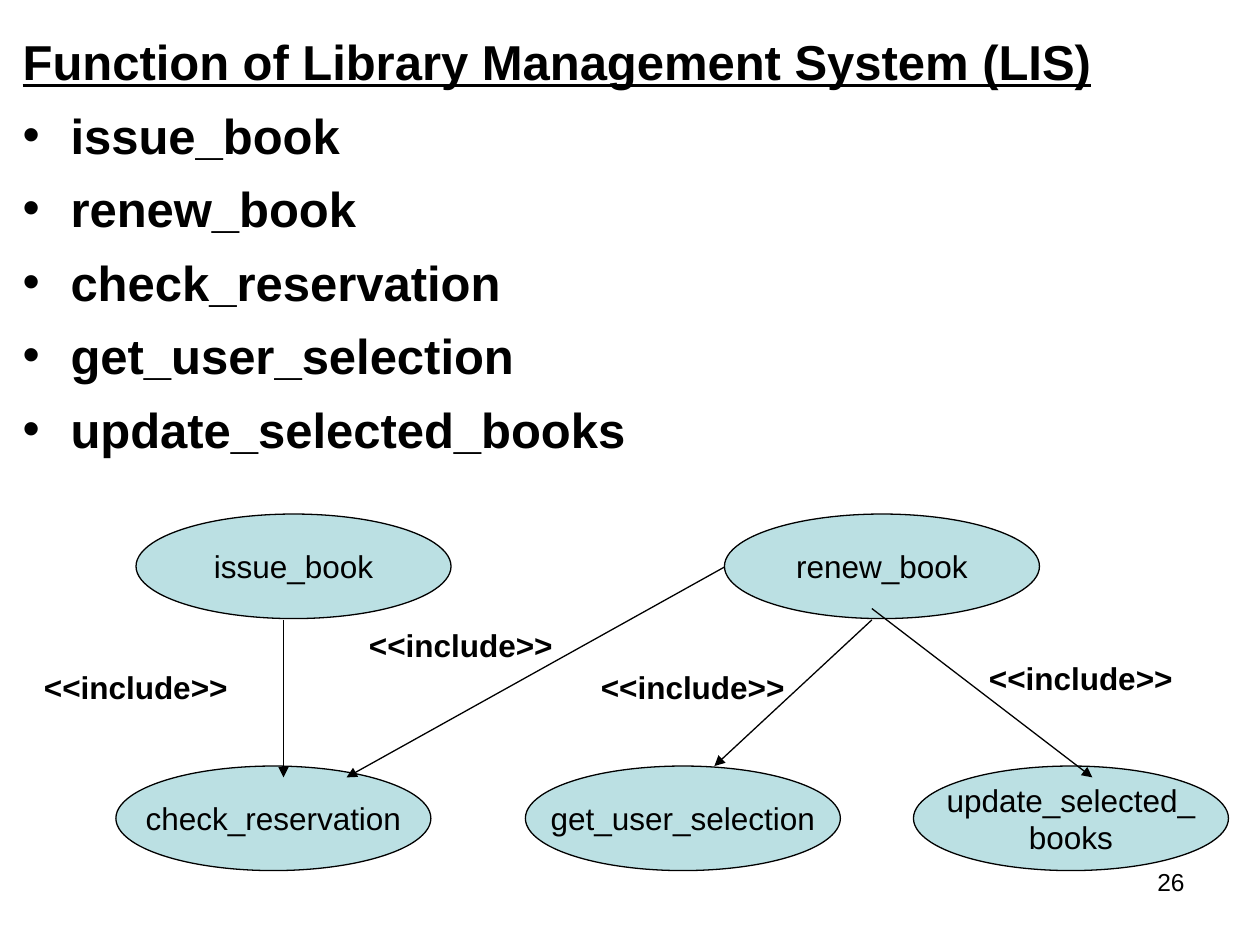
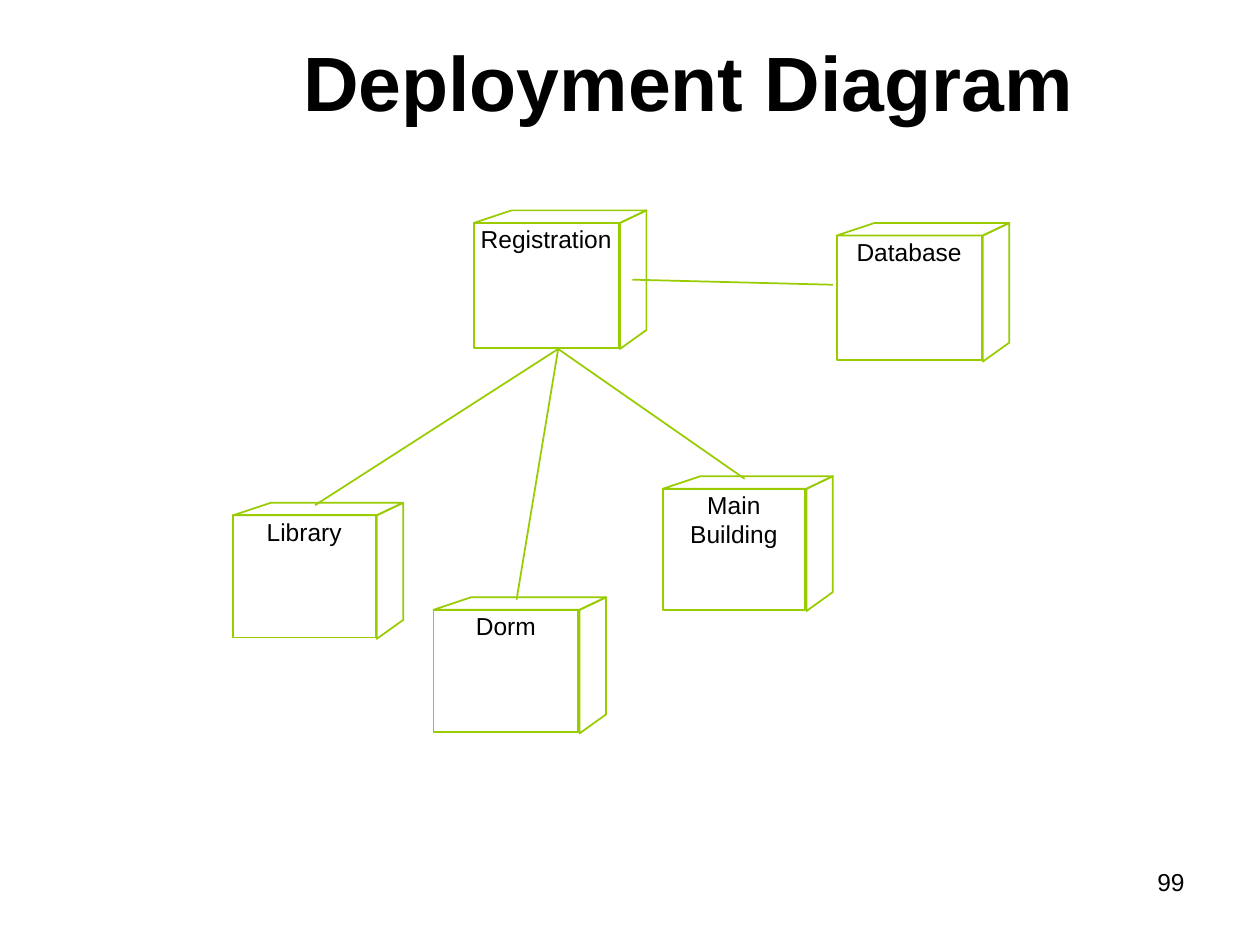
from typing import NamedTuple

from lxml import etree
from pptx import Presentation
from pptx.dml.color import RGBColor
from pptx.enum.shapes import MSO_CONNECTOR as Connector, MSO_SHAPE as Shape
from pptx.enum.text import MSO_ANCHOR as Anchor, PP_ALIGN as Align
from pptx.oxml.ns import qn
from pptx.util import Inches, Pt

COLORS = {"text": "000000", "use_case": "BBE0E3", "node": "99CC00"}
FONT = "Arial"
TITLE_AND_CONTENT, TITLE_ONLY = 1, 5


class UseCase(NamedTuple):
    lines: list[str]
    left: float
    top: float


class Node(NamedTuple):
    lines: list[str]
    left: float
    top: float
    width: float
    height: float


class Link(NamedTuple):
    start: tuple[float, float]
    end: tuple[float, float]


FUNCTIONS = ["issue_book", "renew_book", "check_reservation",
             "get_user_selection", "update_selected_books"]
BASE_ROW, INCLUDED_ROW = 4.08, 6.08
USE_CASES = [
    UseCase(["issue_book"], 1.08, BASE_ROW),
    UseCase(["renew_book"], 5.75, BASE_ROW),
    UseCase(["check_reservation"], 0.92, INCLUDED_ROW),
    UseCase(["get_user_selection"], 4.17, INCLUDED_ROW),
    UseCase(["update_selected_", "books"], 7.25, INCLUDED_ROW),
]
INCLUDES = [
    Link((2.25, 4.92), (2.25, 6.17)),
    Link((6.92, 4.92), (5.67, 6.08)),
    Link((6.92, 4.83), (8.67, 6.17)),
    Link((5.75, 4.5), (2.75, 6.17)),
]
INCLUDE_LABELS = [(0.25, 5.25), (2.83, 4.92), (4.67, 5.25), (7.75, 5.18)]

NODES = [
    Node(["Registration"], 3.76, 1.77, 1.15, 0.99),
    Node(["Database"], 6.64, 1.87, 1.15, 0.99),
    Node(["Library"], 1.85, 4.09, 1.13, 0.97),
    Node(["Dorm"], 3.44, 4.84, 1.15, 0.97),
    Node(["Main", "Building"], 5.26, 3.88, 1.13, 0.96),
]
REGISTRATION_BASE = (4.43, 2.77)
NODE_LINKS = [
    Link(REGISTRATION_BASE, (2.5, 4.01)),
    Link(REGISTRATION_BASE, (4.1, 4.76)),
    Link(REGISTRATION_BASE, (5.91, 3.8)),
    Link((5.02, 2.22), (6.61, 2.26)),
]


def rgb(color: str) -> RGBColor:
    return RGBColor.from_string(COLORS[color])


def write(frame, lines: list[str], *, size: float, bold: bool = False,
          align=Align.LEFT, anchor=Anchor.TOP, wrap: bool = True,
          margins=(0.1, 0.05, 0.1, 0.05)) -> None:
    """Fill a text frame, one paragraph a line; margins run left, top, right, bottom."""
    frame.word_wrap = wrap
    frame.vertical_anchor = anchor
    (frame.margin_left, frame.margin_top,
     frame.margin_right, frame.margin_bottom) = map(Inches, margins)
    for index, line in enumerate(lines):
        paragraph = frame.add_paragraph() if index else frame.paragraphs[0]
        paragraph.alignment = align
        run = paragraph.add_run()
        run.text = line
        run.font.name = FONT
        run.font.size = Pt(size)
        run.font.bold = bold
        run.font.color.rgb = rgb("text")


def place(shape, left: float, top: float, width: float, height: float) -> None:
    shape.left, shape.top = Inches(left), Inches(top)
    shape.width, shape.height = Inches(width), Inches(height)


def add_label(slide, lines: list[str], left: float, top: float,
              width: float, height: float, **text_format) -> None:
    box = slide.shapes.add_textbox(*map(Inches, (left, top, width, height)))
    write(box.text_frame, lines, **text_format)


def add_page_number(slide, number: int) -> None:
    add_label(slide, [str(number)], 7.17, 6.83, 2.33, 0.52, size=14, align=Align.RIGHT)


def outline(shape, color: str, width: float, fill: str | None = None) -> None:
    shape.shadow.inherit = False
    shape.line.color.rgb = rgb(color)
    shape.line.width = Pt(width)
    if fill:
        shape.fill.solid()
        shape.fill.fore_color.rgb = rgb(fill)
    else:
        shape.fill.background()


def add_link(slide, link: Link, color: str, width: float, arrow: bool = False) -> None:
    line = slide.shapes.add_connector(
        Connector.STRAIGHT, *map(Inches, (*link.start, *link.end)))
    line.line.color.rgb = rgb(color)
    line.line.width = Pt(width)
    if arrow:
        etree.SubElement(line.line._get_or_add_ln(), qn("a:tailEnd"), type="triangle")
    etree.SubElement(line._element.spPr, qn("a:effectLst"))


def add_use_case(slide, case: UseCase) -> None:
    oval = slide.shapes.add_shape(
        Shape.OVAL, *map(Inches, (case.left, case.top, 2.5, 0.83)))
    outline(oval, "text", 0.75, fill="use_case")
    write(oval.text_frame, case.lines, size=18, align=Align.CENTER,
          anchor=Anchor.MIDDLE, wrap=False)


def add_face(slide, corners: list[tuple[float, float]]) -> None:
    start, *others = [(Inches(x), Inches(y)) for x, y in corners]
    builder = slide.shapes.build_freeform(*start)
    builder.add_line_segments(others, close=True)
    outline(builder.convert_to_shape(), "node", 1)


def add_node(slide, node: Node) -> None:
    """Draw a labelled box with a top and a right face, seen from the upper right."""
    lines, left, top, width, height = node
    front = slide.shapes.add_shape(
        Shape.RECTANGLE, *map(Inches, (left, top, width, height)))
    outline(front, "node", 1)
    write(front.text_frame, lines, size=14, align=Align.CENTER, wrap=False,
          margins=(0, 0.01, 0, 0))
    edge = left + width + 0.01
    back, back_top = edge + 0.21, top - 0.1
    add_face(slide, [(left, top), (left + 0.3, back_top), (back, back_top), (edge, top)])
    add_face(slide, [(edge, top), (back, back_top),
                     (back, top + height - 0.14), (edge, top + height + 0.01)])


def set_bullet(paragraph, char: str | None) -> None:
    """Give a hanging indent, with a bullet if one is named."""
    properties = paragraph._p.get_or_add_pPr()
    properties.set("marL", str(Inches(0.38)))
    properties.set("indent", str(-Inches(0.38)))
    if char is None:
        etree.SubElement(properties, qn("a:buNone"))
        return
    bullet_color = etree.SubElement(properties, qn("a:buClr"))
    etree.SubElement(bullet_color, qn("a:srgbClr"), val=COLORS["text"])
    etree.SubElement(properties, qn("a:buFont"), typeface=FONT)
    etree.SubElement(properties, qn("a:buChar"), char=char)


def build_functions_slide(deck) -> None:
    slide = deck.slides.add_slide(deck.slide_layouts[TITLE_AND_CONTENT])
    unused_title = slide.shapes.title._element
    unused_title.getparent().remove(unused_title)

    functions = slide.placeholders[1]
    place(functions, 0.08, 0.17, 9.83, 3.67)
    write(functions.text_frame, ["Function of Library Management System (LIS)", *FUNCTIONS],
          size=28, bold=True, align=Align.JUSTIFY, margins=(0.1, 0.08, 0.1, 0.05))
    heading, *items = functions.text_frame.paragraphs
    set_bullet(heading, None)
    heading.space_before = Pt(0)
    heading.runs[0].font.underline = True
    for item in items:
        set_bullet(item, "•")
        item.space_before = Pt(8.4)

    for case in USE_CASES:
        add_use_case(slide, case)
    for include in INCLUDES:
        add_link(slide, include, "text", 0.75, arrow=True)
    for left, top in INCLUDE_LABELS:
        add_label(slide, ["<<include>>"], left, top, 1.92, 0.4, size=18, bold=True)
    add_page_number(slide, 26)


def build_deployment_slide(deck) -> None:
    slide = deck.slides.add_slide(deck.slide_layouts[TITLE_ONLY])
    title = slide.shapes.title
    place(title, 1.9, 0.23, 7.13, 0.78)
    write(title.text_frame, ["Deployment Diagram"], size=44, bold=True,
          align=Align.CENTER, anchor=Anchor.BOTTOM, margins=(0.06, 0.02, 0.06, 0))
    for node in NODES:
        add_node(slide, node)
    for link in NODE_LINKS:
        add_link(slide, link, "node", 1)
    add_page_number(slide, 99)


def main() -> None:
    deck = Presentation()
    deck.slide_width, deck.slide_height = Inches(10), Inches(7.5)
    build_functions_slide(deck)
    build_deployment_slide(deck)
    deck.save("out.pptx")


if __name__ == "__main__":
    main()
